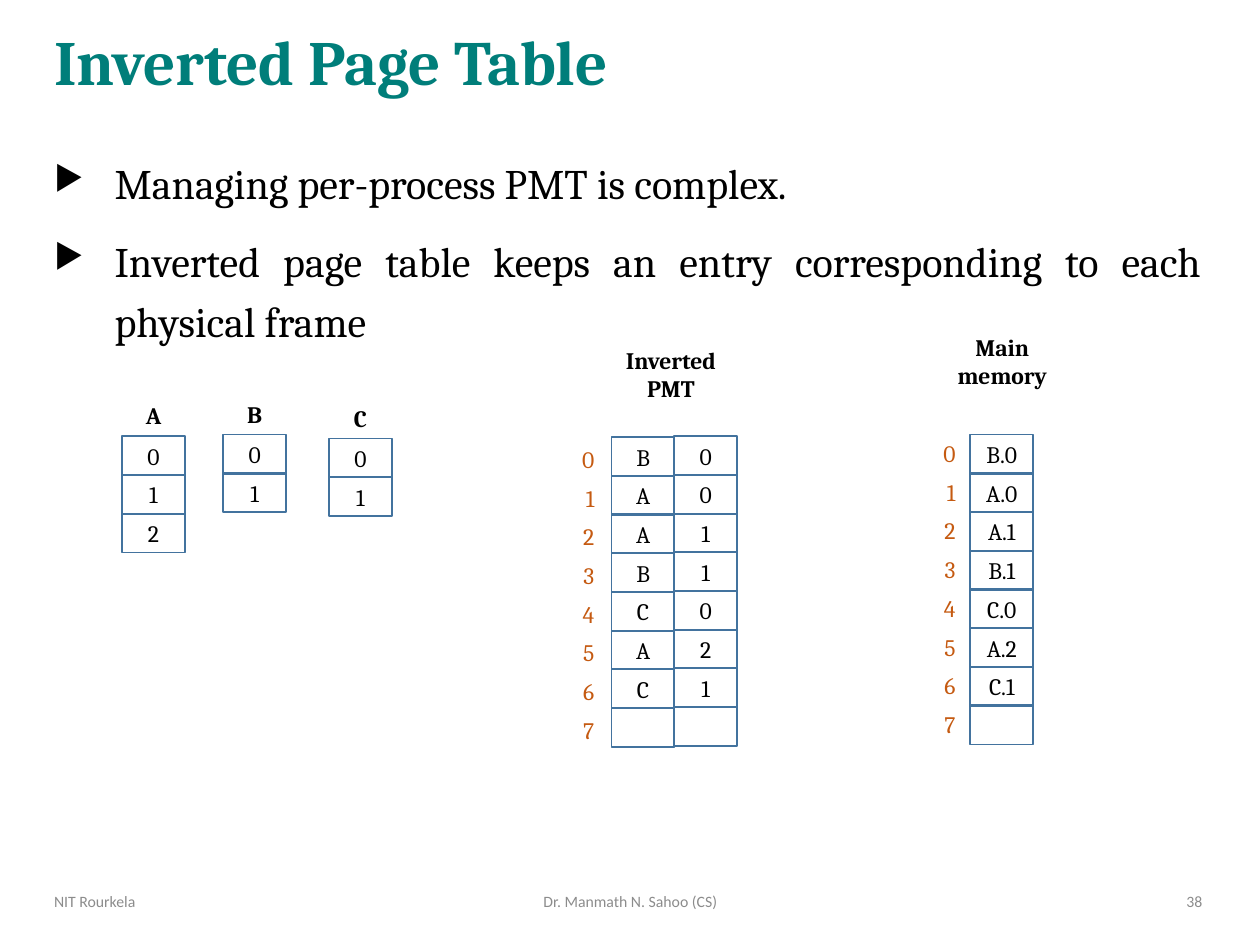
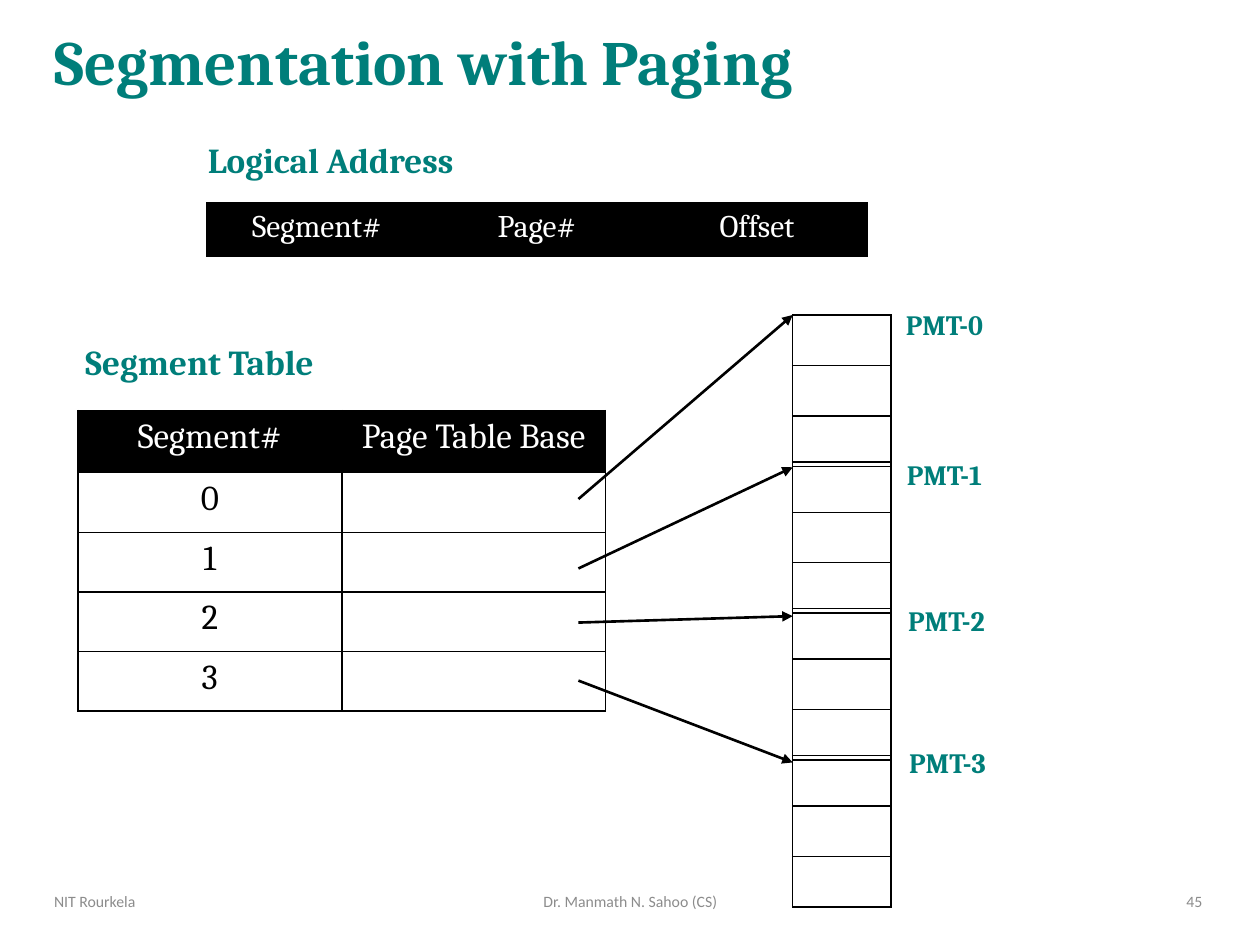
import pptx
import pptx.dml.color
import pptx.enum.shapes
import pptx.enum.text
import pptx.oxml
import pptx.oxml.ns
import pptx.util
from lxml import etree

Cm, Pt = pptx.util.Cm, pptx.util.Pt
ALIGN = pptx.enum.text.PP_ALIGN
MIDDLE = pptx.enum.text.MSO_ANCHOR.MIDDLE

# Shared look
TEAL, BLACK, WHITE, GREY = "007E7A", "000000", "FFFFFF", "8C8C8C"
CELL_BLUE, INDEX_ORANGE = "43739E", "C55A11"
SERIF, SANS = "Cambria", "Calibri"
LABEL_SIZE = 13.5

# Footer: left, width, alignment; the last one holds the slide number
FOOTERS = [
    ("NIT Rourkela", 0.84, 6.6, ALIGN.LEFT),
    ("Dr. Manmath N. Sahoo (CS)", 8.41, 8.59, ALIGN.CENTER),
    ("{number}", 18.47, 6.02, ALIGN.RIGHT),
]

# Inverted page table: all lengths in centimetres
BULLETS = [
    "Managing per-process PMT is complex.",
    "Inverted page table keeps an entry corresponding to each physical frame",
]
CELL_WIDTH, CELL_HEIGHT, CELL_PITCH, HEADING_RISE = 1.27, 0.79, 0.78, 0.81
PROCESSES = [  # name, left, top, pages
    ("A", 2.46, 8.79, "012"),
    ("B", 4.5, 8.76, "01"),
    ("C", 6.63, 8.84, "01"),
]
FRAME_NUMBERS = "01234567"
FRAME_TABLES = [  # heading, its left and top, index left and top, columns
    ("Inverted PMT", 12.19, 6.86, 10.96, 8.86, [
        (12.33, 8.81, ["B", "A", "A", "B", "C", "A", "C", ""]),
        (13.59, 8.79, ["0", "0", "1", "1", "0", "2", "1", ""]),
    ]),
    ("Main memory", 18.87, 6.6, 18.24, 8.74, [
        (19.56, 8.76, ["B.0", "A.0", "A.1", "B.1", "C.0", "A.2", "C.1", ""]),
    ]),
]

# Segmentation with paging
ADDRESS_PARTS = [["Segment#", "Page#", "Offset"]]
SEGMENT_ROWS = [["Segment#", "Page Table Base"]] + [[str(n), ""] for n in range(4)]
CAPTIONS = [("Logical Address", 3.94, 2.67, 5.64), ("Segment Table", 1.47, 6.73, 5.28)]
PMT_LEFT, PMT_TOP, PMT_PITCH = 15.98, 6.35, 2.96
ARROW_LEFT = 11.66
PMTS = [  # name, label left and top, arrow start and end heights
    ("PMT-0", 18.01, 6.07, 10.06, 6.35),
    ("PMT-1", 18.03, 9.09, 11.46, 9.42),
    ("PMT-2", 18.06, 12.04, 12.55, 12.42),
    ("PMT-3", 18.08, 14.91, 13.72, 15.37),
]


def rgb(value):
    return pptx.dml.color.RGBColor.from_string(value)


def box(left, top, width, height):
    return Cm(left), Cm(top), Cm(width), Cm(height)


def style(paragraph, size, color=BLACK, bold=False, align=ALIGN.LEFT, name=SERIF):
    paragraph.alignment = align
    font = paragraph.font
    font.name, font.size, font.bold = name, Pt(size), bold
    font.color.rgb = rgb(color)


def add_text(shapes, text, place, size, anchor=MIDDLE, wrap=True, **look):
    shape = shapes.add_textbox(*box(*place))
    frame = shape.text_frame
    frame.word_wrap, frame.vertical_anchor = wrap, anchor
    frame.text = text
    style(frame.paragraphs[0], size, **look)
    return shape


def add_caption(slide, text, place, size):
    add_text(slide.shapes, text, place, size, anchor=pptx.enum.text.MSO_ANCHOR.TOP,
             wrap=False, color=TEAL, bold=True)


def add_slide(presentation, title, number):
    slide = presentation.slides.add_slide(presentation.slide_layouts[6])
    heading = add_text(slide.shapes, title, (0.84, 0.1, 23.62, 2.44), 36,
                       color=TEAL, bold=True)
    heading.text_frame.paragraphs[0].line_spacing = 0.9
    for text, left, width, align in FOOTERS:
        add_text(slide.shapes, text.format(number=number), (left, 17.65, width, 1.02), 9,
                 color=GREY, align=align, name=SANS)
    return slide


def add_bullets(slide):
    frame = slide.shapes.add_textbox(*box(0.84, 2.84, 23.62, 14.33)).text_frame
    frame.word_wrap = True
    for index, text in enumerate(BULLETS):
        paragraph = frame.add_paragraph() if index else frame.paragraphs[0]
        paragraph.text = text
        properties = paragraph._p.get_or_add_pPr()
        properties.set("marL", str(Cm(1.22)))
        properties.set("indent", str(-Cm(1.22)))
        for tag, key, value in [("buSzPct", "val", "80000"), ("buChar", "char", "▶")]:
            etree.SubElement(properties, pptx.oxml.ns.qn("a:" + tag)).set(key, value)
        paragraph.line_spacing, paragraph.space_after = 1.2, Pt(10)
        style(paragraph, 24, align=ALIGN.JUSTIFY)


def cell_places(left, top, values):
    for row, value in enumerate(values):
        yield value, (left, top + row * CELL_PITCH, CELL_WIDTH, CELL_HEIGHT)


def add_cells(shapes, left, top, values):
    for value, place in cell_places(left, top, values):
        cell = shapes.add_shape(pptx.enum.shapes.MSO_SHAPE.RECTANGLE, *box(*place))
        cell.shadow.inherit = False
        cell.fill.background()
        cell.line.color.rgb, cell.line.width = rgb(CELL_BLUE), Pt(1)
        if value:
            cell.text_frame.text = value
            cell.text_frame.vertical_anchor = MIDDLE
            style(cell.text_frame.paragraphs[0], LABEL_SIZE, align=ALIGN.CENTER)


def add_borders(cell):
    properties = cell._tc.get_or_add_tcPr()
    for position, side in enumerate("LRTB"):
        properties.insert(position, pptx.oxml.parse_xml(
            f'<a:ln{side} {pptx.oxml.ns.nsdecls("a")} w="{Pt(1)}"><a:solidFill>'
            f'<a:srgbClr val="{BLACK}"/></a:solidFill></a:ln{side}>'))


def add_table(slide, rows, place, size=18, header=True):
    table = slide.shapes.add_table(len(rows), len(rows[0]), *box(*place)).table
    table.first_row = table.horz_banding = False
    for row_index, row in enumerate(rows):
        is_header = header and row_index == 0
        for column_index, text in enumerate(row):
            cell = table.cell(row_index, column_index)
            if is_header:
                cell.fill.solid()
                cell.fill.fore_color.rgb = rgb(BLACK)
            else:
                cell.fill.background()
            add_borders(cell)
            if text:
                cell.text = text
                style(cell.text_frame.paragraphs[0], size, align=ALIGN.CENTER,
                      color=WHITE if is_header else BLACK)
    return table


def add_arrow(slide, start, end):
    arrow = slide.shapes.add_connector(pptx.enum.shapes.MSO_CONNECTOR.STRAIGHT,
                                       *box(*start, *end))
    arrow.line.color.rgb, arrow.line.width = rgb(BLACK), Pt(1.5)
    properties = arrow._element.spPr
    line = properties.find(pptx.oxml.ns.qn("a:ln"))
    etree.SubElement(line, pptx.oxml.ns.qn("a:tailEnd")).set("type", "triangle")
    etree.SubElement(properties, pptx.oxml.ns.qn("a:effectLst"))


def build_inverted_table(presentation):
    slide = add_slide(presentation, "Inverted Page Table", 38)
    add_bullets(slide)
    # Pages of each process
    for name, left, top, pages in PROCESSES:
        shapes = slide.shapes.add_group_shape().shapes
        add_cells(shapes, left, top, pages)
        add_text(shapes, name, (left, top - HEADING_RISE, CELL_WIDTH, CELL_HEIGHT),
                 LABEL_SIZE, bold=True, align=ALIGN.CENTER)
    # Tables with one row per physical frame
    for heading, left, top, index_left, index_top, columns in FRAME_TABLES:
        shapes = slide.shapes.add_group_shape().shapes
        for column in columns:
            add_cells(shapes, *column)
        for number, place in cell_places(index_left, index_top, FRAME_NUMBERS):
            add_text(shapes, number, place, LABEL_SIZE, color=INDEX_ORANGE,
                     align=ALIGN.RIGHT)
        add_text(slide.shapes, heading, (left, top, 2.67, 1.35), LABEL_SIZE,
                 bold=True, align=ALIGN.CENTER)


def build_segmentation(presentation):
    slide = add_slide(presentation, "Segmentation with Paging", 45)
    for text, left, top, width in CAPTIONS:
        add_caption(slide, text, (left, top, width, 1.12), 20)
    add_table(slide, ADDRESS_PARTS, (4.17, 4.09, 13.31, 1.07))
    segments = add_table(slide, SEGMENT_ROWS, (1.57, 8.28, 10.64, 6.05), size=20)
    for index, row in enumerate(segments.rows):
        row.height = Cm(1.2 if index else 1.25)
    # Page map tables and the arrows that lead to them
    for index, (name, left, top, start, end) in enumerate(PMTS):
        add_table(slide, [[""]] * 3,
                  (PMT_LEFT, PMT_TOP + index * PMT_PITCH, 1.98, 2.46), header=False)
        add_caption(slide, name, (left, top, 2.24, 0.94), 16)
    for name, left, top, start, end in PMTS:
        add_arrow(slide, (ARROW_LEFT, start), (PMT_LEFT, end))


def main():
    presentation = pptx.Presentation()
    presentation.slide_width, presentation.slide_height = Cm(25.4), Cm(19.05)
    build_inverted_table(presentation)
    build_segmentation(presentation)
    presentation.save("out.pptx")


if __name__ == "__main__":
    main()
